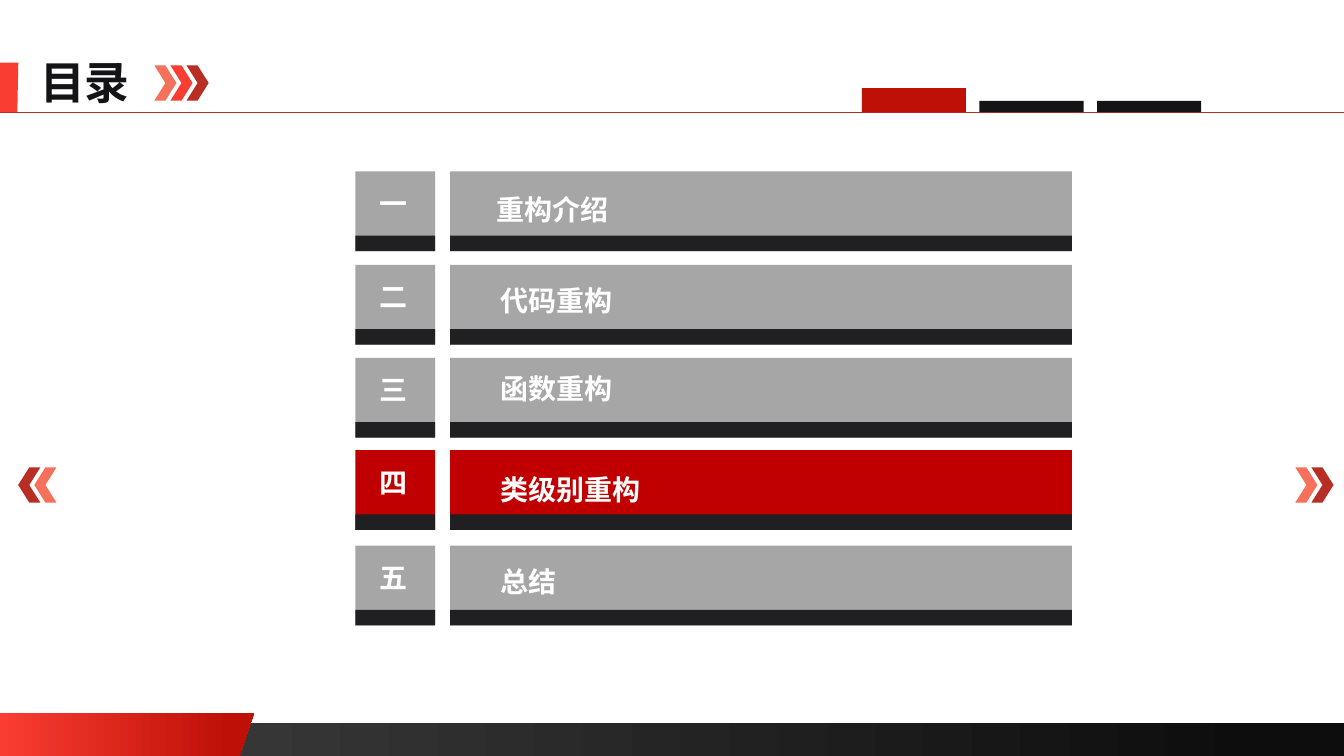
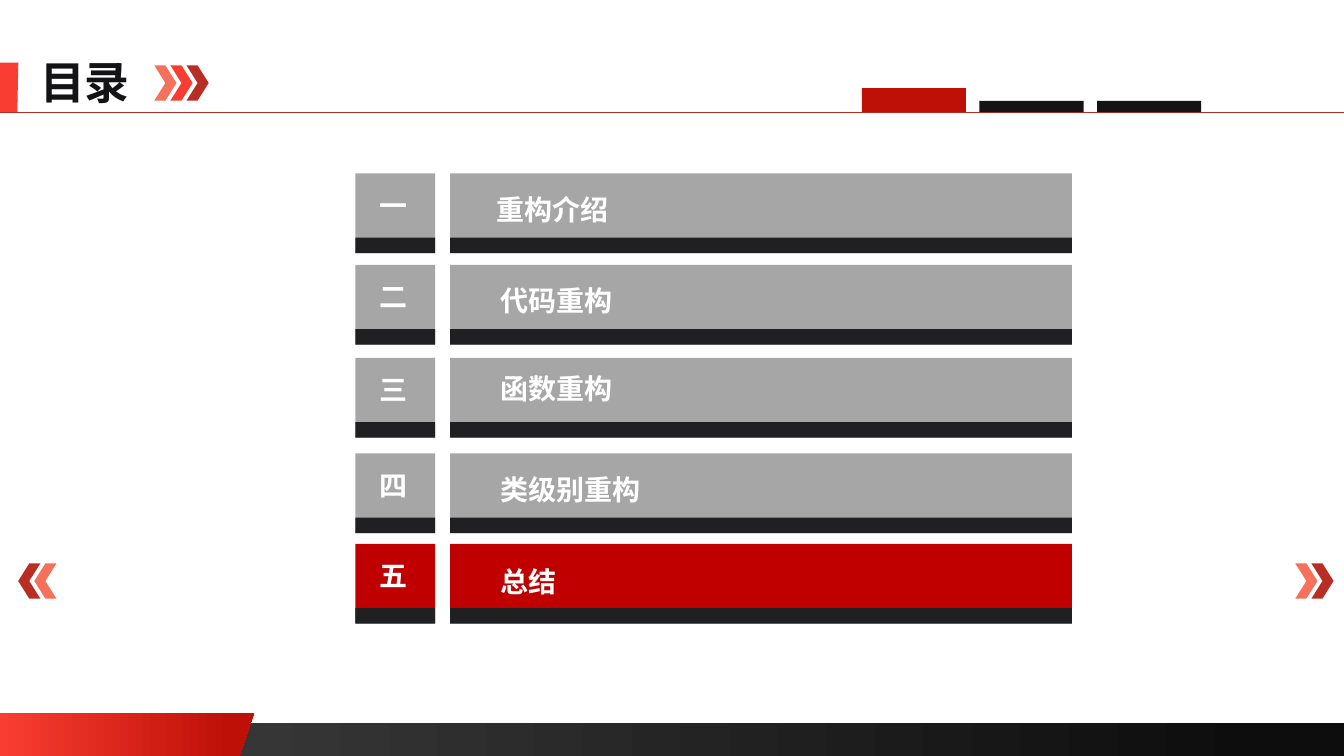
"""Build the two agenda slides of a deck about refactoring."""
from dataclasses import dataclass
from typing import Any

import lxml.etree
import pptx
import pptx.dml.color
import pptx.enum.shapes
import pptx.enum.text
import pptx.oxml.ns
import pptx.util

Pt = pptx.util.Pt
Preset = pptx.enum.shapes.MSO_SHAPE
Align = pptx.enum.text.PP_ALIGN

WIDTH, HEIGHT = 960, 540
FONT = "Noto Sans CJK SC"
COLORS = {
    "white": "FFFFFF",
    "ink": "141316",
    "base": "202022",
    "gray": "A6A6A6",
    "active": "C00000",
    "coral": "F5715B",
    "bright": "F93D32",
    "brick": "B82E24",
    "crimson": "BE1007",
    "band_start": "404040",
    "band_end": "0D0D0D",
}
RULE_TOP = 80.2
TAB_LEFT, TAB_PITCH, TAB_WIDTH = 615.6, 84, 74.4
CHEVRON_WIDTH, CHEVRON_HEIGHT, CHEVRON_STEP = 15.84, 25.2, 11.52
ROW_HEIGHT, BASE_HEIGHT = 57, 11
COLUMNS = ((253.8, 57), (321.6, 444))


@dataclass(frozen=True)
class Topic:
    number: str
    title: str
    left: float
    top: float
    width: float


@dataclass(frozen=True)
class Agenda:
    active: int
    row_tops: tuple[float, ...]
    arrow_top: float


TOPICS = (
    Topic("一", "重构介绍", 347, 133.9, 95),
    Topic("二", "代码重构", 350, 198.7, 95),
    Topic("三", "函数重构", 350, 262.1, 95),
    Topic("四", "类级别重构", 350, 334.1, 115),
    Topic("五", "总结", 350, 399.6, 54.7),
)
AGENDAS = (
    Agenda(3, (122.4, 189.2, 255.6, 321.5, 389.7), 333.8),
    Agenda(4, (123.8, 189.2, 255.6, 323.8, 388.4), 402.4),
)


def rgb(name: str) -> pptx.dml.color.RGBColor:
    """Return the named colour."""
    return pptx.dml.color.RGBColor.from_string(COLORS[name])


def paint(shape: Any, *stops: tuple[str, float]) -> None:
    """Fill with one colour or a horizontal gradient, without line or shadow."""
    shape.shadow.inherit = False
    shape.line.fill.background()
    if len(stops) == 1:
        shape.fill.solid()
        shape.fill.fore_color.rgb = rgb(stops[0][0])
        return
    shape.fill.gradient()
    shape.fill.gradient_angle = 0
    for stop, (color, position) in zip(shape.fill.gradient_stops, stops):
        stop.color.rgb = rgb(color)
        stop.position = position


def add_preset(shapes: Any, left: float, top: float, width: float, height: float,
               *stops: tuple[str, float], preset: Any = Preset.RECTANGLE) -> Any:
    """Add a painted preset shape."""
    shape = shapes.add_shape(preset, Pt(left), Pt(top), Pt(width), Pt(height))
    paint(shape, *stops)
    return shape


def add_outline(shapes: Any, points: list[tuple[float, float]],
                *stops: tuple[str, float]) -> None:
    """Add a painted closed polygon."""
    corners = [(Pt(x), Pt(y)) for x, y in points]
    builder = shapes.build_freeform(*corners[0])
    builder.add_line_segments(corners[1:], close=True)
    paint(builder.convert_to_shape(), *stops)


def add_text(shapes: Any, text: str, left: float, top: float, width: float,
             height: float = 31.7, size: float = 20, color: str = "white",
             align: Any = Align.CENTER) -> None:
    """Add one line of bold text."""
    box = shapes.add_textbox(Pt(left), Pt(top), Pt(width), Pt(height))
    frame = box.text_frame
    frame.text = text
    frame.word_wrap = False
    frame.auto_size = pptx.enum.text.MSO_AUTO_SIZE.SHAPE_TO_FIT_TEXT
    paragraph = frame.paragraphs[0]
    paragraph.alignment = align
    run = paragraph.runs[0]
    run.font.size = Pt(size)
    run.font.bold = True
    run.font.color.rgb = rgb(color)
    run.font.name = FONT
    properties = run._r.get_or_add_rPr()
    lxml.etree.SubElement(properties, pptx.oxml.ns.qn("a:ea"), typeface=FONT)


def add_chevrons(slide: Any, left: float, top: float, colors: tuple[str, ...],
                 step: float = CHEVRON_STEP, rotation: float = 0) -> None:
    """Add a group of chevrons; a negative step runs leftwards."""
    group = slide.shapes.add_group_shape()
    for index, color in enumerate(colors):
        chevron = add_preset(group.shapes, left + index * step, top, CHEVRON_WIDTH,
                             CHEVRON_HEIGHT, (color, 0), preset=Preset.CHEVRON)
        chevron.rotation = rotation


def add_frame(slide: Any) -> None:
    """Draw the title, rule, tabs and footer that the slides share."""
    slide.background.fill.solid()
    slide.background.fill.fore_color.rgb = rgb("white")
    shapes = slide.shapes
    add_preset(shapes, 0, 516.3, WIDTH, HEIGHT - 516.3,
               ("band_start", 0), ("band_end", 0.94))
    add_outline(shapes, [(0, 509.2), (181.5, 509.2), (171, HEIGHT), (0, HEIGHT)],
                ("bright", 0), ("crimson", 0.91))
    add_outline(shapes, [(0, 44.8), (13.1, 44.8), (12.4, 80.4), (0, 80.4)],
                ("bright", 0))
    add_text(shapes, "目录", 21.6, 35.3, 79.2, 46, 32, "ink", Align.LEFT)
    rule = shapes.add_connector(pptx.enum.shapes.MSO_CONNECTOR.STRAIGHT,
                                Pt(0), Pt(RULE_TOP), Pt(WIDTH), Pt(RULE_TOP))
    rule.line.color.rgb = rgb("brick")
    rule.line.width = Pt(0.5)
    lxml.etree.SubElement(rule._element.spPr, pptx.oxml.ns.qn("a:effectLst"))
    add_chevrons(slide, 110.2, 46.7, ("coral", "bright", "brick"))
    for index, (height, color) in enumerate(
            ((17.3, "crimson"), (8.2, "ink"), (8.2, "ink"))):
        add_preset(shapes, TAB_LEFT + index * TAB_PITCH, RULE_TOP - height,
                   TAB_WIDTH, height, (color, 0))


def add_row(slide: Any, topic: Topic, top: float, color: str) -> None:
    """Add one agenda row with its number and title."""
    shapes = slide.shapes.add_group_shape().shapes
    for left, width in COLUMNS:
        add_preset(shapes, left, top, width, ROW_HEIGHT, (color, 0))
        add_preset(shapes, left, top + ROW_HEIGHT - BASE_HEIGHT, width,
                   BASE_HEIGHT, ("base", 0))
    add_text(shapes, topic.number, 263.9, top + 7.2, 34.6)
    add_text(slide.shapes, topic.title, topic.left, topic.top, topic.width)


def add_agenda(presentation: Any, agenda: Agenda) -> None:
    """Add an agenda slide with its active topic highlighted."""
    slide = presentation.slides.add_slide(presentation.slide_layouts[6])
    add_frame(slide)
    add_chevrons(slide, 925.2, agenda.arrow_top, ("coral", "brick"))
    add_chevrons(slide, 24.5, agenda.arrow_top, ("coral", "brick"),
                 -CHEVRON_STEP, 180)
    for index, (topic, top) in enumerate(zip(TOPICS, agenda.row_tops)):
        add_row(slide, topic, top, "active" if index == agenda.active else "gray")


def main() -> None:
    """Build and save the presentation."""
    presentation = pptx.Presentation()
    presentation.slide_width = Pt(WIDTH)
    presentation.slide_height = Pt(HEIGHT)
    for agenda in AGENDAS:
        add_agenda(presentation, agenda)
    presentation.save("out.pptx")


if __name__ == "__main__":
    main()
